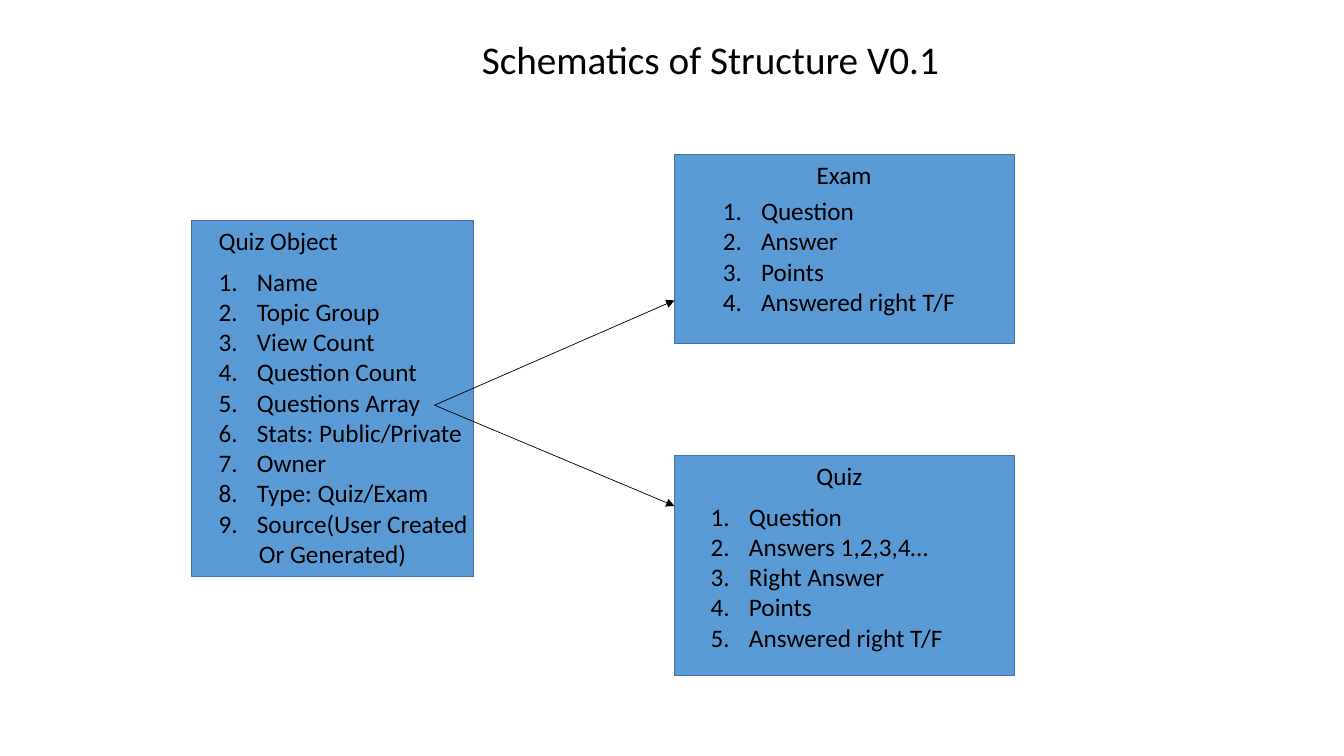
from lxml import etree
from pptx import Presentation
from pptx import util as u
from pptx.dml.color import RGBColor
from pptx.enum import shapes, text
from pptx.oxml.ns import qn

BLACK = RGBColor(0, 0, 0)
BOX_FILL = RGBColor(0x5B, 0x9B, 0xD5)
BOX_LINE = RGBColor(0x43, 0x73, 0x9E)
FONT = "Calibri"
INDENT = 0.38

TITLE = ("Schematics of Structure V0.1", (4.68, 0.3, 4.79, 0.57))
BOXES = [
    {
        "box": (1.9, 2.19, 2.8, 3.53),
        "heading": ("Quiz Object", (2.07, 2.19, 1.4, 0.4)),
        "fields": (["Name", "Topic Group", "View Count", "Question Count",
                    "Questions Array", "Stats: Public/Private", "Owner",
                    "Type: Quiz/Exam", "Source(User Created"],
                   (2.07, 2.59, 2.69, 3.13)),
        "continuation": "Or Generated)",
    },
    {
        "box": (6.69, 1.53, 3.37, 1.88),
        "heading": ("Exam", (8, 1.53, 0.75, 0.4)),
        "fields": (["Question", "Answer", "Points", "Answered right T/F"],
                   (7.07, 1.89, 2.52, 1.31)),
    },
    {
        "box": (6.69, 4.52, 3.37, 2.18),
        "heading": ("Quiz", (8, 4.52, 0.66, 0.4)),
        "fields": (["Question", "Answers 1,2,3,4…", "Right Answer", "Points",
                    "Answered right T/F"],
                   (6.95, 4.92, 2.52, 1.62)),
    },
]
ARROW_START = (4.31, 4.02)
ARROW_ENDS = [(6.69, 2.98), (6.69, 5.02)]


def inches(values):
    return [u.Inches(value) for value in values]


def add_text(slide, lines, place, size=18, numbered=False, continuation=None):
    frame = slide.shapes.add_textbox(*inches(place)).text_frame
    frame.word_wrap = False
    frame.auto_size = text.MSO_AUTO_SIZE.SHAPE_TO_FIT_TEXT
    extra = [continuation] if continuation else []
    for index, line in enumerate(lines + extra):
        paragraph = frame.paragraphs[0] if index == 0 else frame.add_paragraph()
        run = paragraph.add_run()
        run.text = line
        run.font.name = FONT
        run.font.size = u.Pt(size)
        run.font.color.rgb = BLACK
        if numbered:
            properties = paragraph._p.get_or_add_pPr()
            if index < len(lines):
                properties.set("marL", str(u.Inches(INDENT)))
                properties.set("indent", str(-u.Inches(INDENT)))
                etree.SubElement(properties, qn("a:buFont"), typeface="+mj-lt")
                etree.SubElement(properties, qn("a:buAutoNum"), type="arabicPeriod")
            else:
                properties.set("marL", str(u.Inches(0.4)))


def add_box(slide, place):
    shape = slide.shapes.add_shape(shapes.MSO_SHAPE.RECTANGLE, *inches(place))
    shape.shadow.inherit = False
    shape.fill.solid()
    shape.fill.fore_color.rgb = BOX_FILL
    shape.line.color.rgb = BOX_LINE
    shape.line.width = u.Pt(1)


def add_arrow(slide, start, end):
    arrow = slide.shapes.add_connector(
        shapes.MSO_CONNECTOR.STRAIGHT, *inches(start + end))
    arrow.line.color.rgb = BLACK
    arrow.line.width = u.Pt(0.5)
    etree.SubElement(arrow.line._get_or_add_ln(), qn("a:tailEnd"), type="triangle")
    etree.SubElement(arrow._element.spPr, qn("a:effectLst"))


presentation = Presentation()
presentation.slide_width = u.Inches(13.33)
presentation.slide_height = u.Inches(7.5)
slide = presentation.slides.add_slide(presentation.slide_layouts[6])

for part in BOXES:
    add_box(slide, part["box"])
    heading, place = part["heading"]
    add_text(slide, [heading], place)
    fields, place = part["fields"]
    add_text(slide, fields, place, numbered=True,
             continuation=part.get("continuation"))

for end in ARROW_ENDS:
    add_arrow(slide, ARROW_START, end)

title, place = TITLE
add_text(slide, [title], place, size=28)

presentation.save("out.pptx")
